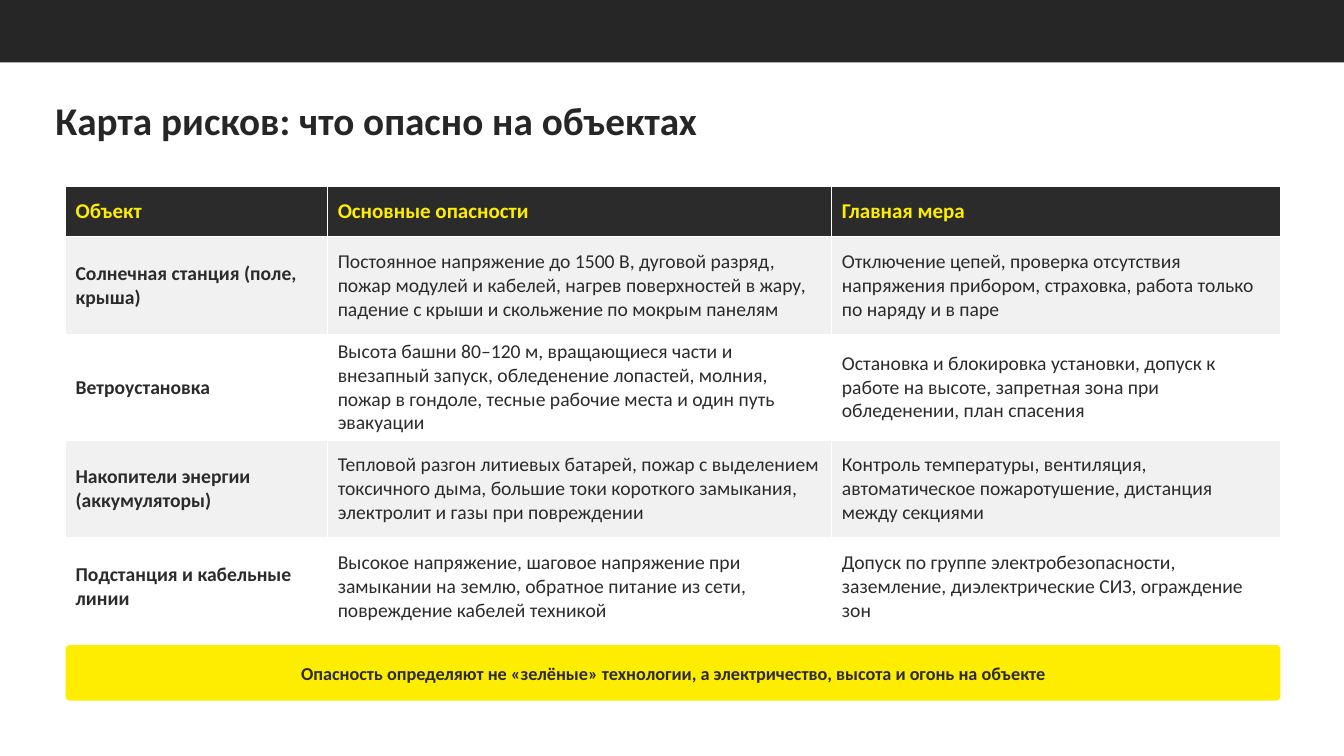
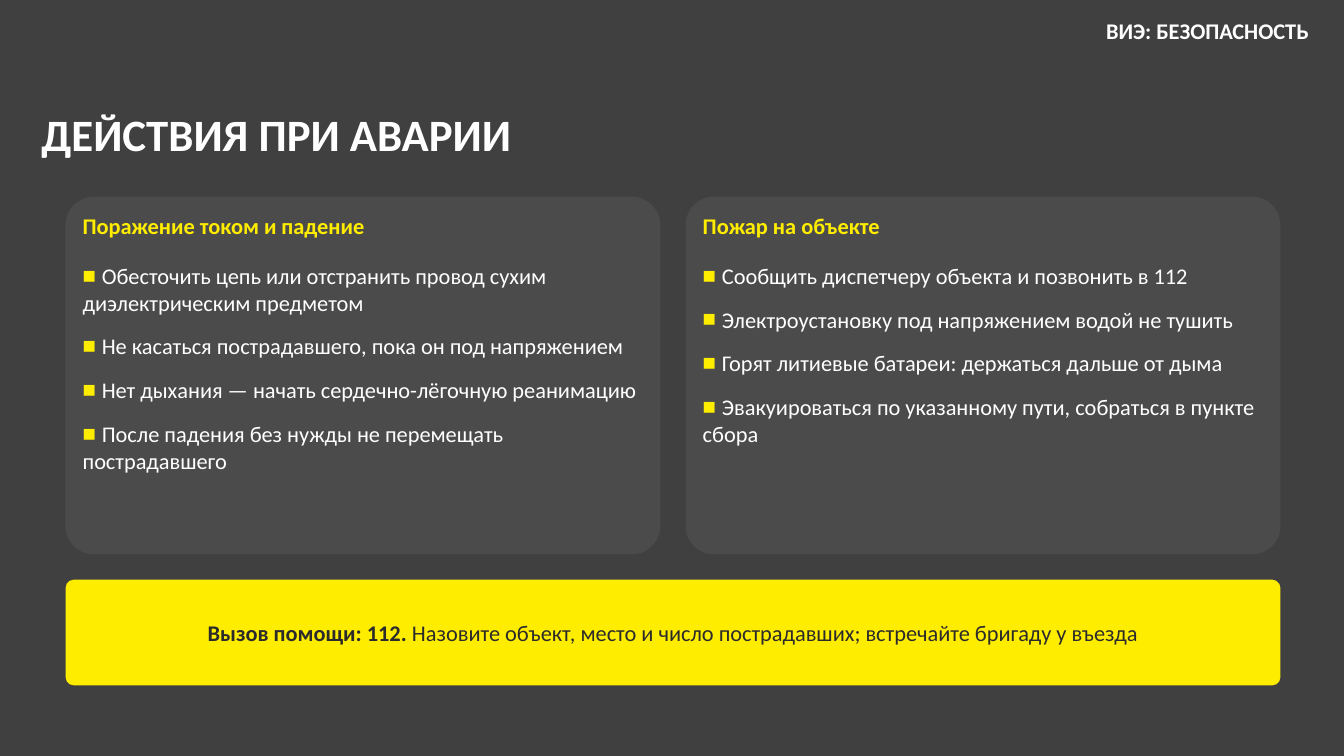
from lxml.etree import SubElement
from pptx import Presentation
from pptx.dml.color import RGBColor
from pptx.enum.shapes import MSO_SHAPE
from pptx.enum.text import MSO_ANCHOR, MSO_AUTO_SIZE, PP_ALIGN
from pptx.oxml.ns import qn
from pptx.util import Pt

PX = 9144  # 100 px to the inch
FONT = "Calibri"
WHITE = RGBColor(0xFF, 0xFF, 0xFF)
YELLOW = RGBColor(0xFF, 0xED, 0x00)
INK = RGBColor(0x2B, 0x2B, 0x2B)
BAND = RGBColor(0x26, 0x26, 0x26)
STRIPE = RGBColor(0xF1, 0xF1, 0xF1)
DARK = RGBColor(0x40, 0x40, 0x40)
PANEL = RGBColor(0x4B, 0x4B, 0x4B)

LEFT, WIDTH = 65, 1205

HEADERS = ["Объект", "Основные опасности", "Главная мера"]
RISKS = [
    ["Солнечная станция (поле, крыша)",
     "Постоянное напряжение до 1500 В, дуговой разряд, пожар модулей и кабелей, "
     "нагрев поверхностей в жару, падение с крыши и скольжение по мокрым панелям",
     "Отключение цепей, проверка отсутствия напряжения прибором, страховка, "
     "работа только по наряду и в паре"],
    ["Ветроустановка",
     "Высота башни 80–120 м, вращающиеся части и внезапный запуск, обледенение "
     "лопастей, молния, пожар в гондоле, тесные рабочие места и один путь эвакуации",
     "Остановка и блокировка установки, допуск к работе на высоте, запретная зона "
     "при обледенении, план спасения"],
    ["Накопители энергии (аккумуляторы)",
     "Тепловой разгон литиевых батарей, пожар с выделением токсичного дыма, большие "
     "токи короткого замыкания, электролит и газы при повреждении",
     "Контроль температуры, вентиляция, автоматическое пожаротушение, дистанция "
     "между секциями"],
    ["Подстанция и кабельные линии",
     "Высокое напряжение, шаговое напряжение при замыкании на землю, обратное питание "
     "из сети, повреждение кабелей техникой",
     "Допуск по группе электробезопасности, заземление, диэлектрические СИЗ, "
     "ограждение зон"],
]
ACTIONS = {
    "Поражение током и падение": [
        "Обесточить цепь или отстранить провод сухим диэлектрическим предметом",
        "Не касаться пострадавшего, пока он под напряжением",
        "Нет дыхания — начать сердечно-лёгочную реанимацию",
        "После падения без нужды не перемещать пострадавшего"],
    "Пожар на объекте": [
        "Сообщить диспетчеру объекта и позвонить в 112",
        "Электроустановку под напряжением водой не тушить",
        "Горят литиевые батареи: держаться дальше от дыма",
        "Эвакуироваться по указанному пути, собраться в пункте сбора"],
}


def add_block(page, area, fill=None, inset=(12, 3), kind=MSO_SHAPE.ROUNDED_RECTANGLE):
    """Add a filled shape, or a plain text box when there is no fill."""
    area = [value * PX for value in area]
    if fill is None:
        box = page.shapes.add_textbox(*area)
    else:
        box = page.shapes.add_shape(kind, *area)
        box.shadow.inherit = False
        box.fill.solid()
        box.fill.fore_color.rgb = fill
        box.line.fill.background()
        if kind == MSO_SHAPE.ROUNDED_RECTANGLE:
            box.adjustments[0] = 0.08
    frame = box.text_frame
    frame.word_wrap = True
    frame.margin_left = frame.margin_right = inset[0] * PX
    frame.margin_top = frame.margin_bottom = inset[1] * PX
    return box


def write(para, text, size, color, bold=False, align=PP_ALIGN.LEFT):
    para.text = text
    para.alignment = align
    para.font.name = FONT
    para.font.size = Pt(size)
    para.font.bold = bold
    para.font.color.rgb = color


deck = Presentation()
deck.slide_width, deck.slide_height = 1333 * PX, 750 * PX

pages = []
for text, area, size, color, anchor, spacing in [
    ("Карта рисков: что опасно на объектах", (45, 84, 1150, 75), 28, BAND,
     MSO_ANCHOR.MIDDLE, 0.9),
    ("ДЕЙСТВИЯ ПРИ АВАРИИ", (31, 101, 1156, 77), 32, WHITE, MSO_ANCHOR.TOP, 1.0),
]:
    page = deck.slides.add_slide(deck.slide_layouts[5])
    title = page.shapes.title
    title.left, title.top, title.width, title.height = [value * PX for value in area]
    title.text_frame.auto_size = MSO_AUTO_SIZE.NONE
    title.text_frame.vertical_anchor = anchor
    heading = title.text_frame.paragraphs[0]
    write(heading, text, size, color, bold=True)
    heading.line_spacing = spacing
    pages.append(page)
risk_page, action_page = pages

# Risk map
add_block(risk_page, (0, 0, 1333, 62), BAND, kind=MSO_SHAPE.RECTANGLE)
table = risk_page.shapes.add_table(
    len(RISKS) + 1, len(HEADERS), LEFT * PX, 185 * PX, WIDTH * PX, 438 * PX).table
for column, width in zip(table.columns, (260, 500, 445)):
    column.width = width * PX
for row_index, texts in enumerate([HEADERS] + RISKS):
    is_header = row_index == 0
    table.rows[row_index].height = (50 if is_header else 97) * PX
    fill = INK if is_header else STRIPE if row_index % 2 else WHITE
    for column_index, text in enumerate(texts):
        cell = table.cell(row_index, column_index)
        cell.fill.solid()
        cell.fill.fore_color.rgb = fill
        cell.vertical_anchor = MSO_ANCHOR.MIDDLE
        write(cell.text_frame.paragraphs[0], text, 15 if is_header else 14,
              YELLOW if is_header else INK, bold=is_header or column_index == 0)
summary = add_block(risk_page, (LEFT, 640, WIDTH, 55), YELLOW)
write(summary.text_frame.paragraphs[0],
      "Опасность определяют не «зелёные» технологии, а электричество, "
      "высота и огонь на объекте", 13, INK, bold=True, align=PP_ALIGN.CENTER)

# Emergency actions
action_page.background.fill.solid()
action_page.background.fill.fore_color.rgb = DARK
topic = add_block(action_page, (928, 12, 380, 37), inset=(10, 5))
write(topic.text_frame.paragraphs[0], "ВИЭ: БЕЗОПАСНОСТЬ", 16, WHITE, bold=True,
      align=PP_ALIGN.RIGHT)

panel_width, gap = 590, 25
for index, (heading, steps) in enumerate(ACTIONS.items()):
    left = LEFT + index * (panel_width + gap)
    add_block(action_page, (left, 195, panel_width, 355), PANEL)
    caption = add_block(action_page, (left + 15, 207, 560, 40), inset=(2, 3))
    write(caption.text_frame.paragraphs[0], heading, 16, YELLOW, bold=True)
    frame = add_block(action_page, (left + 15, 257, 560, 285), inset=(2, 3)).text_frame
    for step_index, step in enumerate(steps):
        para = frame.add_paragraph() if step_index else frame.paragraphs[0]
        para.space_after = Pt(12)
        properties = para._p.get_or_add_pPr()
        properties.set("marL", "0")
        properties.set("indent", "0")
        bullet_color = SubElement(properties, qn("a:buClr"))
        SubElement(bullet_color, qn("a:srgbClr"), val=str(YELLOW))
        SubElement(properties, qn("a:buSzPct"), val="62500")
        SubElement(properties, qn("a:buFont"), typeface=FONT)
        SubElement(properties, qn("a:buChar"), char="■")
        tabs = SubElement(properties, qn("a:tabLst"))
        SubElement(tabs, qn("a:tab"), pos=str(19 * PX), algn="l")
        write(para, "\t" + step, 16, WHITE)

call = add_block(action_page, (LEFT, 575, WIDTH, 105), YELLOW)
para = call.text_frame.paragraphs[0]
write(para, "Вызов помощи: 112. ", 16, INK, align=PP_ALIGN.CENTER)
para.runs[0].font.bold = True
para.add_run().text = "Назовите объект, место и число пострадавших; встречайте бригаду у въезда"

deck.save("out.pptx")
